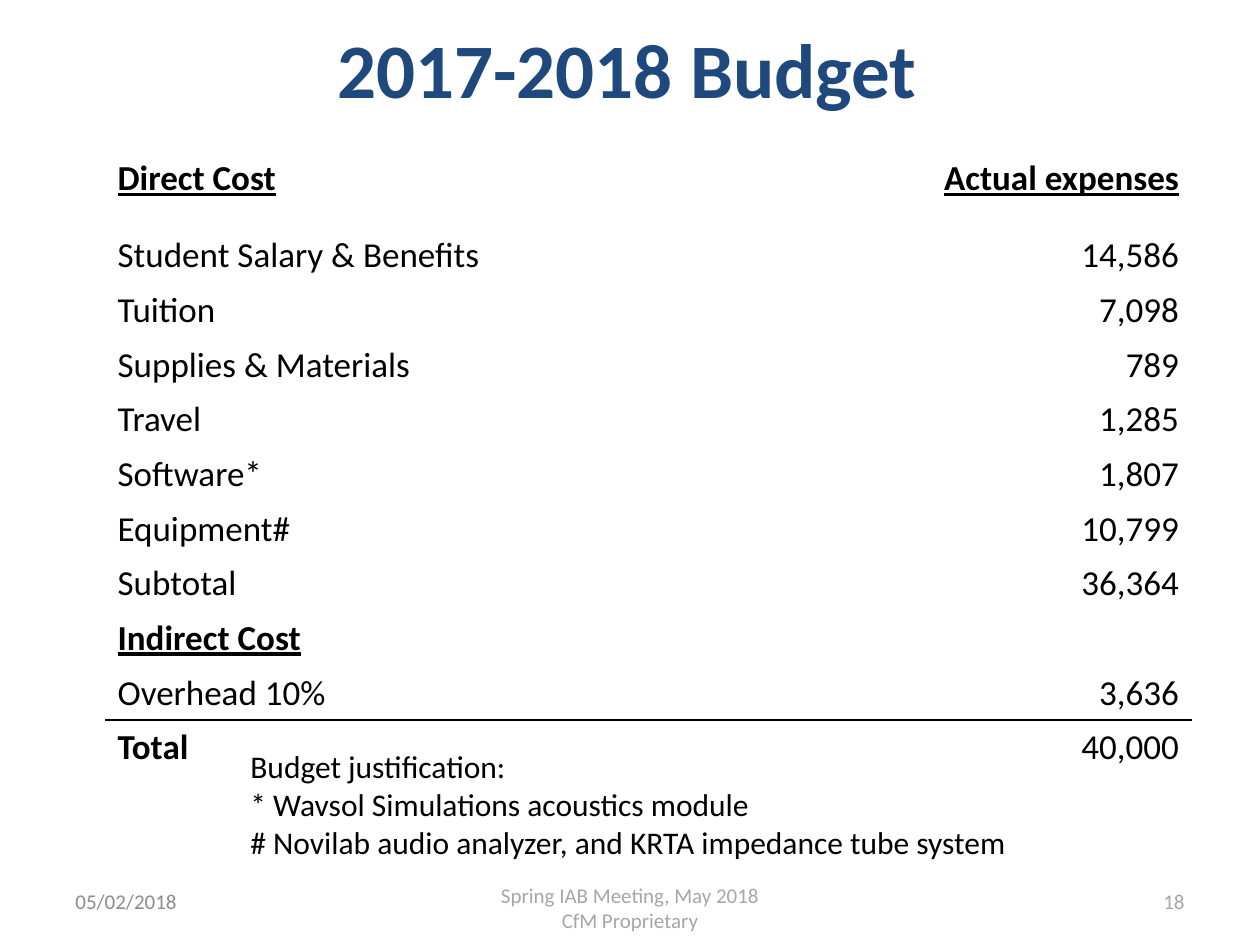
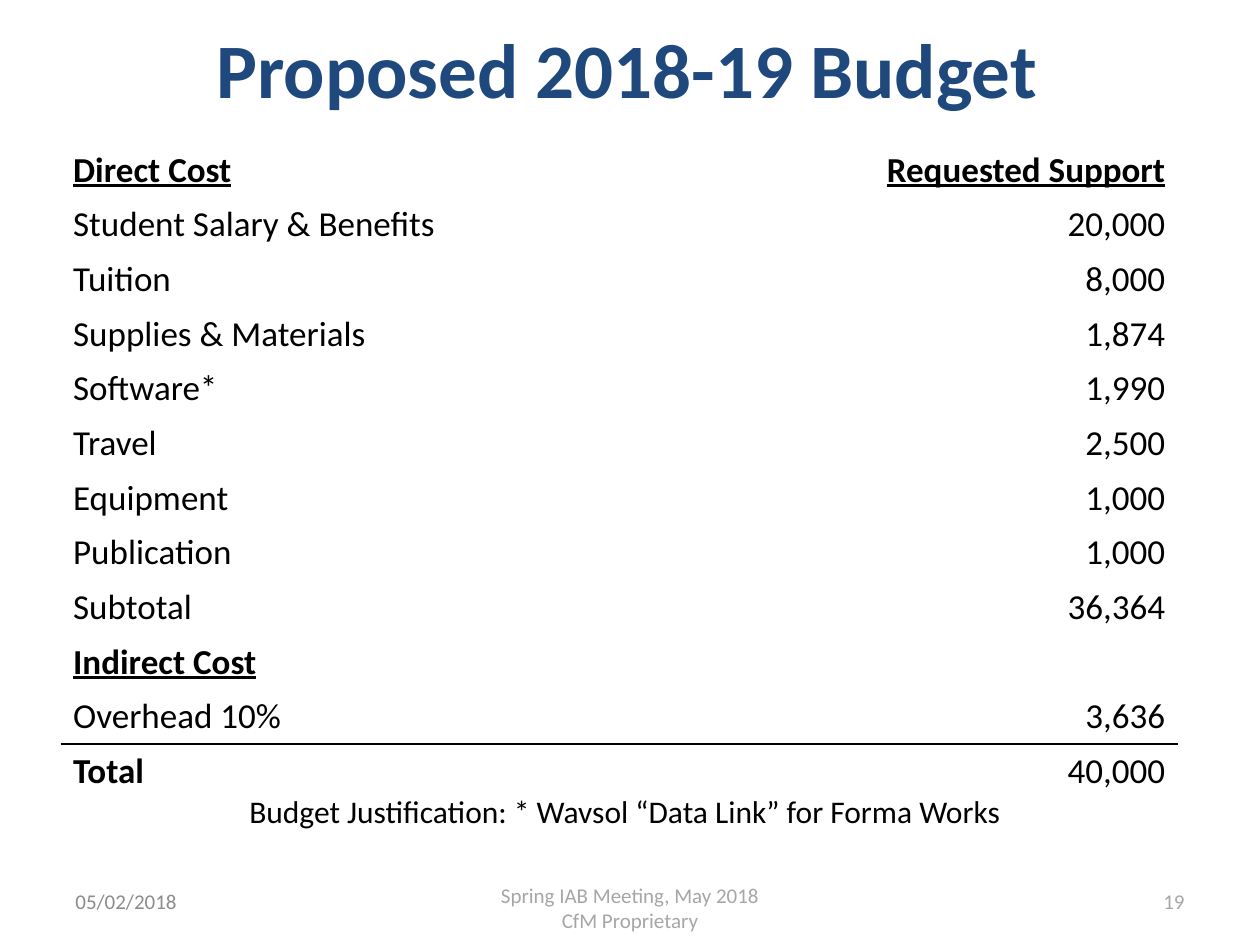
import pptx
import pptx.dml.color
import pptx.enum.text
import pptx.oxml
import pptx.oxml.ns
import pptx.util

Pt = pptx.util.Pt
RGB = pptx.dml.color.RGBColor
ALIGN = pptx.enum.text.PP_ALIGN
ANCHOR = pptx.enum.text.MSO_ANCHOR

# Shared style
FONT = "Calibri"
NAVY = RGB(0x1F, 0x49, 0x7D)
BLACK = RGB(0, 0, 0)
GREY = RGB(0xA6, 0xA6, 0xA6)
DARK = RGB(0x8C, 0x8C, 0x8C)
PLAIN = "{2D5ABB26-0587-4C30-8999-92F81FD0307C}"  # no style, no grid
ROW = 29.5
HEADS = ("Direct Cost", "Indirect Cost")

# Budget lines: label and amount
ACTUAL = [
    ("Direct Cost", "Actual expenses"),
    ("Student Salary & Benefits", "14,586"),
    ("Tuition", "7,098"),
    ("Supplies & Materials", "789"),
    ("Travel", "1,285"),
    ("Software*", "1,807"),
    ("Equipment#", "10,799"),
    ("Subtotal", "36,364"),
    ("Indirect Cost", ""),
    ("Overhead 10%", "3,636"),
    ("Total", "40,000"),
]
PLANNED = [
    ("Direct Cost", "Requested Support"),
    ("Student Salary & Benefits", "20,000"),
    ("Tuition", "8,000"),
    ("Supplies & Materials", "1,874"),
    ("Software*", "1,990"),
    ("Travel", "2,500"),
    ("Equipment", "1,000"),
    ("Publication", "1,000"),
    ("Subtotal", "36,364"),
    ("Indirect Cost", ""),
    ("Overhead 10%", "3,636"),
    ("Total", "40,000"),
]


def write(frame, text, size=20, color=BLACK, bold=False, under=False,
          align=ALIGN.LEFT):
    """Fill a text frame, one paragraph for each line of text."""
    for i, line in enumerate(text.split("\n")):
        para = frame.add_paragraph() if i else frame.paragraphs[0]
        para.alignment = align
        run = para.add_run()
        run.text = line
        font = run.font
        font.name, font.size, font.bold = FONT, Pt(size), bold
        font.underline = under
        font.color.rgb = color


def add_text(slide, box, text, anchor=ANCHOR.TOP, **style):
    frame = slide.shapes.add_textbox(*map(Pt, box)).text_frame
    frame.word_wrap = True
    frame.vertical_anchor = anchor
    write(frame, text, **style)


def rule(cell, side):
    """Draw a thin black border on one side of a cell."""
    line = pptx.oxml.parse_xml(
        f'<a:{side} {pptx.oxml.ns.nsdecls("a")} w="12700"><a:solidFill>'
        f'<a:srgbClr val="{BLACK}"/></a:solidFill></a:{side}>')
    cell._tc.get_or_add_tcPr().insert(0, line)


def add_budget(slide, left, top, lines, widths, first, last):
    heights = [first] + [ROW] * (len(lines) - 2) + [last]
    frame = slide.shapes.add_table(
        len(lines), len(widths), Pt(left), Pt(top),
        Pt(sum(widths)), Pt(sum(heights)))
    table = frame.table
    table._tbl.tblPr.find(pptx.oxml.ns.qn("a:tableStyleId")).text = PLAIN
    table.first_row = table.horz_banding = False
    for col, width in zip(table.columns, widths):
        col.width = Pt(width)
    for row, height in zip(table.rows, heights):
        row.height = Pt(height)

    for r, (label, amount) in enumerate(lines):
        cells = table.rows[r].cells
        for cell in cells:
            cell.fill.background()
        head = label in HEADS
        write(cells[0].text_frame, label, bold=head or label == "Total",
              under=head)
        if amount:
            write(cells[2].text_frame, amount, bold=head, under=head,
                  align=ALIGN.RIGHT)

    # Line above the total
    for over, total in zip(table.rows[len(lines) - 2].cells,
                           table.rows[len(lines) - 1].cells):
        rule(over, "lnB")
        rule(total, "lnT")


def add_page(deck, title, number):
    """Add a slide with its footers and title."""
    slide = deck.slides.add_slide(deck.slide_layouts[6])
    add_text(slide, (240, 500.5, 240, 36),
             "Spring IAB Meeting, May 2018\nCfM Proprietary",
             size=12, color=GREY, align=ALIGN.CENTER)
    add_text(slide, (36, 500.5, 168, 28.75), "05/02/2018",
             anchor=ANCHOR.MIDDLE, size=12, color=DARK)
    add_text(slide, (516, 504, 168, 21.8), str(number),
             size=12, color=GREY, align=ALIGN.RIGHT)
    add_text(slide, (-1.5, 8.5, 720, 68.5), title,
             size=44, color=NAVY, bold=True, align=ALIGN.CENTER)
    return slide


def main():
    deck = pptx.Presentation()
    deck.slide_width, deck.slide_height = Pt(720), Pt(540)

    # Actual budget
    slide = add_page(deck, "2017-2018 Budget", 18)
    add_text(slide, (136, 423.5, 462, 72.7),
             "Budget justification:\n"
             "* Wavsol Simulations acoustics module\n"
             "# Novilab audio analyzer, and KRTA impedance tube system",
             size=18)
    add_budget(slide, 60, 86.4, ACTUAL, (262, 100, 259), 44, 34)

    # Proposed budget
    slide = add_page(deck, "Proposed 2018-19 Budget", 19)
    add_text(slide, (135.4, 449.3, 462, 36),
             "Budget Justification: * Wavsol “Data Link” for Forma Works",
             size=18)
    add_budget(slide, 34.6, 81.4, PLANNED, (271.5, 103.5, 263.5), ROW, 34.5)

    deck.save("out.pptx")


if __name__ == "__main__":
    main()
